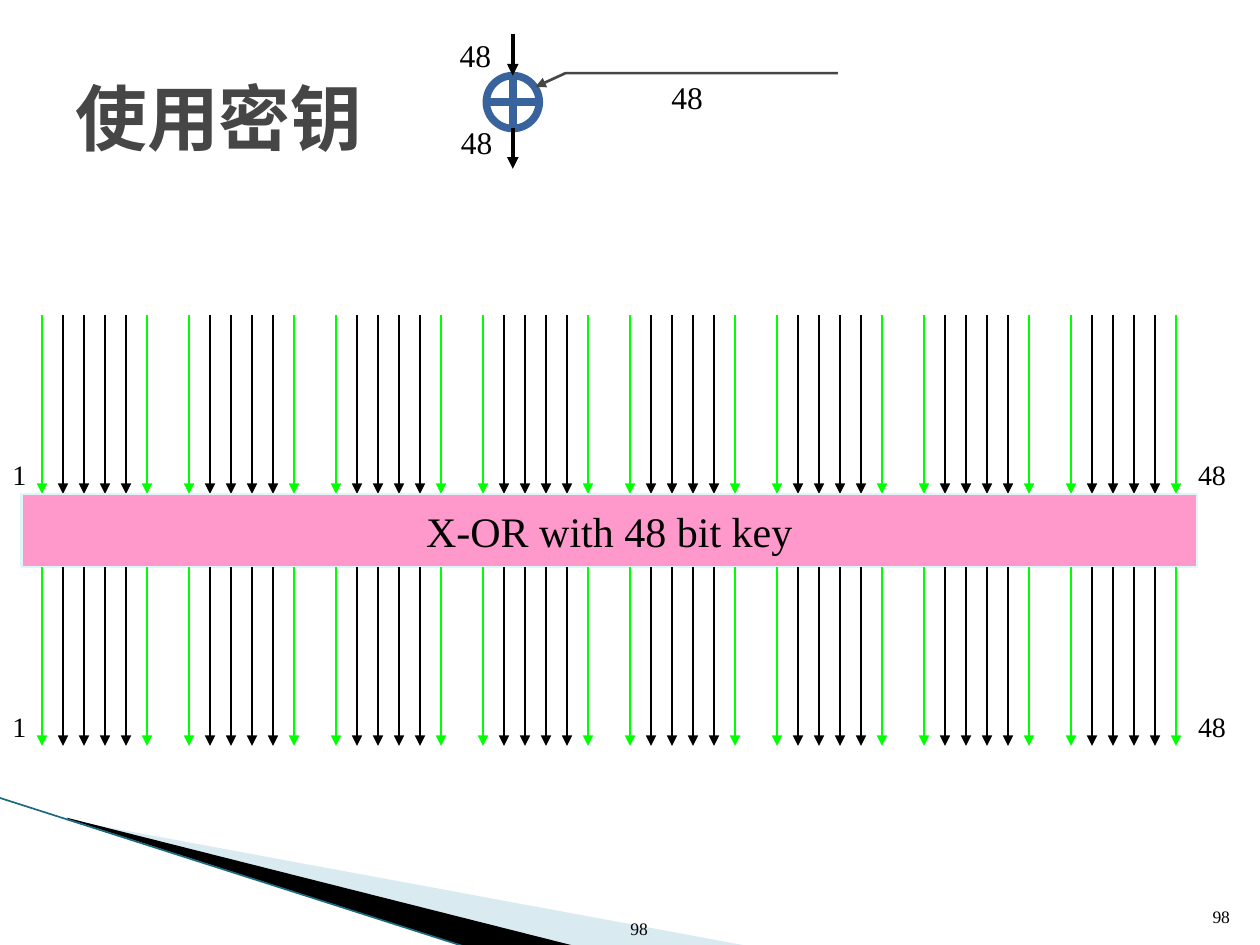
from lxml.etree import SubElement
from pptx import Presentation
from pptx.dml.color import RGBColor
from pptx.enum.shapes import MSO_CONNECTOR, MSO_SHAPE
from pptx.enum.text import MSO_ANCHOR, MSO_AUTO_SIZE, PP_ALIGN
from pptx.oxml.ns import qn
from pptx.util import Inches, Pt

SERIF = "Times New Roman"
BLACK, GREEN, GRAY = "000000", "00FF00", "464646"
GROUPS, GROUP_BITS = 8, 6
BIT_GAP = 1 / 6


def color(hex_code):
    return RGBColor.from_string(hex_code)


def set_line(shape, hex_code, width):
    shape.line.color.rgb = color(hex_code)
    shape.line.width = Pt(width)


def add_arrowhead(shape):
    line = shape.line._get_or_add_ln()
    SubElement(line, qn("a:tailEnd"), type="triangle")


def write(shape, text, size, font=SERIF, hex_code=BLACK, bold=False,
          align=PP_ALIGN.LEFT, anchor=MSO_ANCHOR.TOP, wrap=False):
    frame = shape.text_frame
    frame.word_wrap = wrap
    frame.vertical_anchor = anchor
    paragraph = frame.paragraphs[0]
    paragraph.text = text
    paragraph.alignment = align
    paragraph.font.name = font
    paragraph.font.size = Pt(size)
    paragraph.font.bold = bold
    paragraph.font.color.rgb = color(hex_code)


def add_text(slide, left, top, width, height, text, size, **style):
    box = slide.shapes.add_textbox(
        Inches(left), Inches(top), Inches(width), Inches(height))
    write(box, text, size, **style)
    return box


def add_label(slide, left, top, width, height, text, size):
    label = add_text(slide, left, top, width, height, text, size)
    label.text_frame.auto_size = MSO_AUTO_SIZE.SHAPE_TO_FIT_TEXT


def add_line(slide, x1, y1, x2, y2, hex_code, width, arrow=True):
    line = slide.shapes.add_connector(
        MSO_CONNECTOR.STRAIGHT, Inches(x1), Inches(y1), Inches(x2), Inches(y2))
    set_line(line, hex_code, width)
    if arrow:
        add_arrowhead(line)
    SubElement(line._element.spPr, qn("a:effectLst"))


def add_outline(slide, points, close):
    start, *rest = [(Inches(x), Inches(y)) for x, y in points]
    builder = slide.shapes.build_freeform(*start)
    builder.add_line_segments(rest, close=close)
    outline = builder.convert_to_shape()
    outline.shadow.inherit = False
    return outline


def add_wedge(slide, points, hex_code, opacity=100):
    wedge = add_outline(slide, points, close=True)
    wedge.fill.solid()
    wedge.fill.fore_color.rgb = color(hex_code)
    wedge.line.fill.background()
    if opacity < 100:
        fill = wedge._element.spPr.find(qn("a:solidFill"))
        SubElement(fill[0], qn("a:alpha"), val=str(opacity * 1000))


def add_box(slide, preset, left, top, width, height, fill, line, line_width):
    box = slide.shapes.add_shape(
        preset, Inches(left), Inches(top), Inches(width), Inches(height))
    box.shadow.inherit = False
    box.fill.solid()
    box.fill.fore_color.rgb = color(fill)
    set_line(box, line, line_width)
    return box


def add_bit_arrows(slide, top):
    """48 arrows in groups of six, the outer two of each group green."""
    for group in range(GROUPS):
        for bit in range(GROUP_BITS):
            x = (2 + group * (GROUP_BITS + 1) + bit) * BIT_GAP
            hex_code = GREEN if bit in (0, GROUP_BITS - 1) else BLACK
            add_line(slide, x, top, x, top + 1.42, hex_code, 0.75)
    add_label(slide, 0, top + 1.08, 0.31, 0.37, "1", 16)
    add_label(slide, 9.41, top + 1.08, 0.42, 0.37, "48", 16)


def add_xor_diagram(slide):
    add_box(slide, MSO_SHAPE.FLOWCHART_OR, 3.86, 0.6, 0.42, 0.42,
            "FFFFFF", "39639D", 4.33)
    key_path = add_outline(
        slide, [(6.65, 0.58), (4.49, 0.58), (4.25, 0.69)], close=False)
    key_path.fill.background()
    set_line(key_path, GRAY, 1.5)
    add_arrowhead(key_path)
    for top, bottom in ((0.27, 0.6), (1.02, 1.34)):
        add_line(slide, 4.07, top, 4.07, bottom, BLACK, 2.25)
    for left, top in ((3.55, 0.24), (5.23, 0.57), (3.56, 0.93)):
        add_label(slide, left, top, 0.45, 0.4, "48", 18)


def main():
    prs = Presentation()
    prs.slide_width, prs.slide_height = Inches(10), Inches(7.5)
    slide = prs.slides.add_slide(prs.slide_layouts[6])

    # Corner decoration
    add_wedge(slide, [(0.55, 6.51), (5.95, 7.51), (4.56, 7.51), (0.55, 6.5)],
              "A0CBDC", opacity=40)
    add_wedge(slide, [(0.53, 6.49), (4.57, 7.51), (3.72, 7.52), (0.54, 6.5)],
              BLACK)
    add_line(slide, -0.01, 6.33, 3.71, 7.52, "1B6A7E", 0.95, arrow=False)

    # Title and page numbers
    add_text(slide, 0.5, 0.3, 9, 1.25, "使用密钥", 41, font="DejaVu Sans Mono",
             hex_code=GRAY, bold=True, anchor=MSO_ANCHOR.MIDDLE, wrap=True)
    for left, width, height in ((4.68, 0.56, 0.49), (9.46, 0.4, 0.4)):
        add_text(slide, left, 7.01, width, height, "98", 10,
                 align=PP_ALIGN.RIGHT, anchor=MSO_ANCHOR.BOTTOM, wrap=True)

    # Bits entering and leaving the key step
    add_bit_arrows(slide, 2.5)
    key_step = add_box(slide, MSO_SHAPE.RECTANGLE, 0.17, 3.92, 9.33, 0.58,
                       "FF99CC", "DEF5FA", 1.5)
    write(key_step, "X-OR with 48 bit key", 24,
          align=PP_ALIGN.CENTER, anchor=MSO_ANCHOR.MIDDLE)
    add_bit_arrows(slide, 4.5)

    # Small overview of the step
    add_xor_diagram(slide)

    prs.save("out.pptx")


if __name__ == "__main__":
    main()
